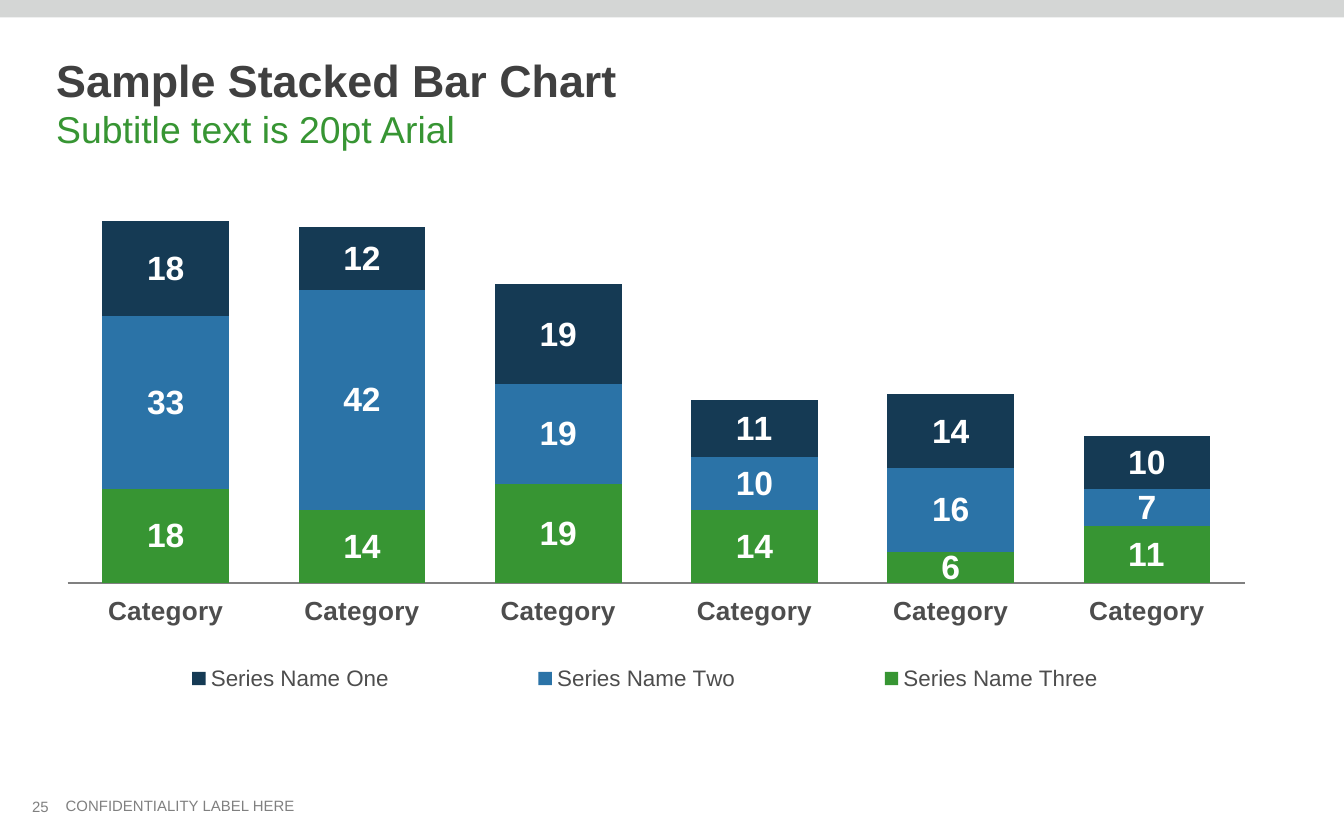
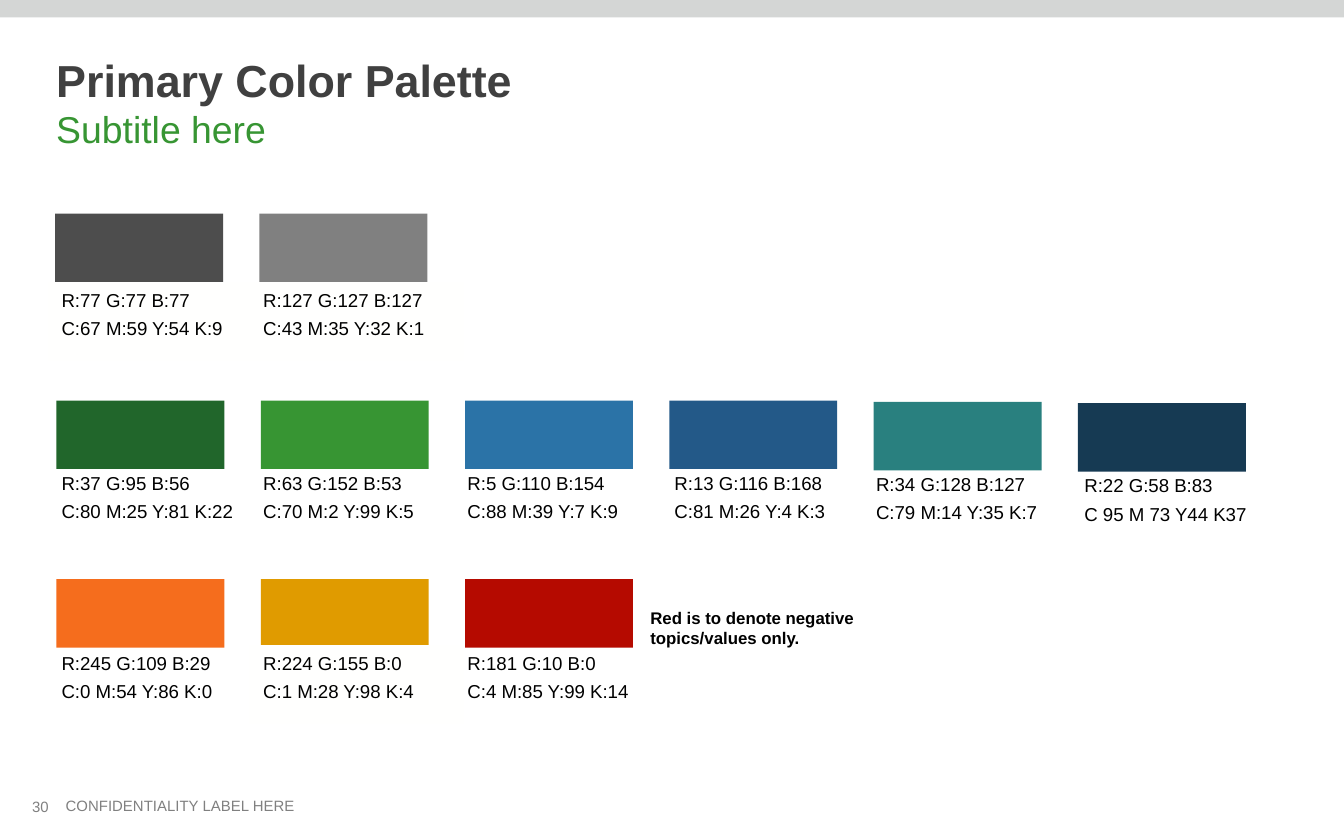
from pptx import Presentation
from pptx.chart.data import CategoryChartData
from pptx.dml.color import RGBColor
from pptx.enum.chart import (XL_CHART_TYPE as ChartType, XL_LABEL_POSITION as LabelPos,
                             XL_LEGEND_POSITION as LegendPos, XL_TICK_LABEL_POSITION as TickLabelPos,
                             XL_TICK_MARK as TickMark)
from pptx.enum.shapes import MSO_SHAPE as Shape
from pptx.enum.text import MSO_ANCHOR as Anchor
from pptx.oxml import parse_xml
from pptx.oxml.ns import nsdecls
from pptx.util import Inches, Pt

FONT = "Arial"
BLACK, WHITE, OFF_WHITE = "000000", "FFFFFF", "FFFFFE"
BAND, TITLE, FOOTER, DARK_GRAY = "D4D6D5", "404040", "808080", "4D4D4D"
GREEN, BLUE, NAVY = "379533", "2B73A7", "153A54"

SERIES = [
    ("Series Name Three", (18, 14, 19, 14, 6, 11), GREEN),
    ("Series Name Two", (33, 42, 19, 10, 16, 7), BLUE),
    ("Series Name One", (18, 12, 19, 11, 14, 10), NAVY),
]

# Each row: left, swatch top, caption top, swatches (color, RGB line, CMYK line, caption fill, drop)
PALETTE = [
    (0.41, 1.59, 2.1, [
        (DARK_GRAY, "R:77 G:77 B:77", "C:67 M:59 Y:54 K:9", OFF_WHITE, 0),
        ("808080", "R:127 G:127 B:127", "C:43 M:35 Y:32 K:1", OFF_WHITE, 0),
    ]),
    (0.42, 2.98, 3.46, [
        ("21662B", "R:37 G:95 B:56", "C:80 M:25 Y:81 K:22", None, 0),
        (GREEN, "R:63 G:152 B:53", "C:70 M:2 Y:99 K:5", None, 0),
        (BLUE, "R:5 G:110 B:154", "C:88 M:39 Y:7 K:9", None, 0),
        ("235988", "R:13 G:116 B:168", "C:81 M:26 Y:4 K:3", None, 0),
        ("29807F", "R:34 G:128 B:127", "C:79 M:14 Y:35 K:7", None, 0.01),
        ("163A53", "R:22 G:58 B:83", "C 95 M 73 Y44 K37", None, 0.02),
    ]),
    (0.42, 4.31, 4.8, [
        ("F56D1D", "R:245 G:109 B:29", "C:0 M:54 Y:86 K:0", None, 0),
        ("E09B00", "R:224 G:155 B:0", "C:1 M:28 Y:98 K:4", OFF_WHITE, 0),
        ("B50A00", "R:181 G:10 B:0", "C:4 M:85 Y:99 K:14", None, 0),
    ]),
]
SWATCH_PITCH = 1.52
CAPTION_LEFTS = (0.36, 1.86, 3.38, 4.92, 6.42, 7.97)


def rgb(color):
    return RGBColor.from_string(color)


def style_font(font, size, color, bold=False):
    for name, value in {"name": FONT, "size": Pt(size), "bold": bold}.items():
        setattr(font, name, value)
    font.color.rgb = rgb(color)


def fill_solid(target, color):
    target.fill.solid()
    target.fill.fore_color.rgb = rgb(color)


def add_rect(s, box, color):
    sp = s.shapes.add_shape(Shape.RECTANGLE, *map(Inches, box))
    sp.shadow.inherit = False
    fill_solid(sp, color)
    sp.line.fill.background()


def add_run(p, text, size, color, bold=False):
    r = p.add_run()
    r.text = text
    style_font(r.font, size, color, bold)


def add_text(s, box, lines, size, color, bold=False, wrap=True, fill=None, **formats):
    """Add a text box with one paragraph per line; formats apply to each paragraph."""
    sp = s.shapes.add_textbox(*map(Inches, box))
    if fill:
        fill_solid(sp, fill)
    tf = sp.text_frame
    tf.word_wrap = wrap
    for i, line in enumerate(lines):
        p = tf.paragraphs[0] if i == 0 else tf.add_paragraph()
        add_run(p, line, size, color, bold)
        for name, value in formats.items():
            setattr(p, name, value)
    return tf


def add_slide(prs, title, subtitle, number):
    """Add a blank slide with the shared band, title and footer."""
    s = prs.slides.add_slide(prs.slide_layouts[6])
    add_text(s, (0.39, 5.88, 1.93, 0.24), ["CONFIDENTIALITY LABEL HERE"], 8, FOOTER, wrap=False)
    add_rect(s, (0, 0, 10, 0.13), BAND)
    tf = add_text(s, (0.32, 0.31, 9.32, 0.5), [title], 24, TITLE, bold=True)
    tf.margin_top = Inches(0.08)
    p = tf.paragraphs[0]
    p.add_line_break()
    add_run(p, subtitle, 20, GREEN)
    tf = add_text(s, (0.14, 5.88, 0.36, 0.24), [str(number)], 8, FOOTER)
    tf.vertical_anchor = Anchor.MIDDLE
    return s


def chart_layout(x, y, w, h, inner=False):
    target = '<c:layoutTarget val="inner"/>' if inner else ""
    sizes = "".join(f'<c:{tag} val="{value}"/>' for tag, value in zip("xywh", (x, y, w, h)))
    return parse_xml(f'<c:layout {nsdecls("c")}><c:manualLayout>{target}<c:xMode val="edge"/>'
                     f'<c:yMode val="edge"/>{sizes}</c:manualLayout></c:layout>')


def set_layout(parent, layout, index):
    for old in parent.xpath("c:layout"):
        parent.remove(old)
    parent.insert(index, layout)


def style_axes(chart):
    axis = chart.category_axis
    axis.major_tick_mark = axis.minor_tick_mark = TickMark.NONE
    axis.tick_label_position = TickLabelPos.LOW
    axis.format.line.color.rgb = rgb("808080")
    axis.format.line.width = Pt(1)
    style_font(axis.tick_labels.font, 14, DARK_GRAY, bold=True)
    formats = {"minimum_scale": 0, "maximum_scale": 70, "major_unit": 10,
               "has_major_gridlines": False, "visible": False}
    for name, value in formats.items():
        setattr(chart.value_axis, name, value)


def style_legend(chart):
    chart.has_legend = True
    legend = chart.legend
    legend.position = LegendPos.RIGHT
    legend.include_in_layout = False
    style_font(legend.font, 12, DARK_GRAY)
    set_layout(legend._element, chart_layout(0.04, 0.86, 0.95, 0.1), 1)


def add_stacked_chart(s, box):
    data = CategoryChartData()
    data.categories = ["Category"] * 6
    for name, values, _ in SERIES:
        data.add_series(name, values)
    chart = s.shapes.add_chart(ChartType.COLUMN_STACKED, *map(Inches, box), data).chart
    style_font(chart.font, 18, BLACK)
    chart.has_title = False
    plot = chart.plots[0]
    for name, value in {"gap_width": 55, "overlap": 100, "vary_by_categories": False}.items():
        setattr(plot, name, value)
    for series, (_, _, color) in zip(plot.series, SERIES):
        fill_solid(series.format, color)
        labels = series.data_labels
        labels.show_value = True
        labels.position = LabelPos.CENTER
        style_font(labels.font, 18, WHITE, bold=True)
    style_axes(chart)
    style_legend(chart)
    plot_area = chart._chartSpace.chart.plotArea
    set_layout(plot_area, chart_layout(0.054, 0.075, 0.94, 0.663, inner=True), 0)


def add_palette(s):
    for left, top, caption_top, swatches in PALETTE:
        for i, (color, rgb_line, cmyk_line, fill, drop) in enumerate(swatches):
            add_rect(s, (left + i * SWATCH_PITCH, top + drop, 1.25, 0.51), color)
            add_text(s, (CAPTION_LEFTS[i], caption_top + drop, 1.59, 0.58), [rgb_line, cmyk_line],
                     10, BLACK, fill=fill, space_after=Pt(3))


def main():
    prs = Presentation()
    prs.slide_width, prs.slide_height = Inches(10), Inches(6.25)

    s = add_slide(prs, "Sample Stacked Bar Chart", "Subtitle text is 20pt Arial", 25)
    add_stacked_chart(s, (0, 1.3, 9.32, 4.12))

    s = add_slide(prs, "Primary Color Palette", "Subtitle here", 30)
    add_palette(s)
    add_text(s, (4.74, 4.47, 1.82, 0.41), ["Red is to denote negative", "topics/values only."],
             9, BLACK, bold=True)

    prs.save("out.pptx")


if __name__ == "__main__":
    main()
